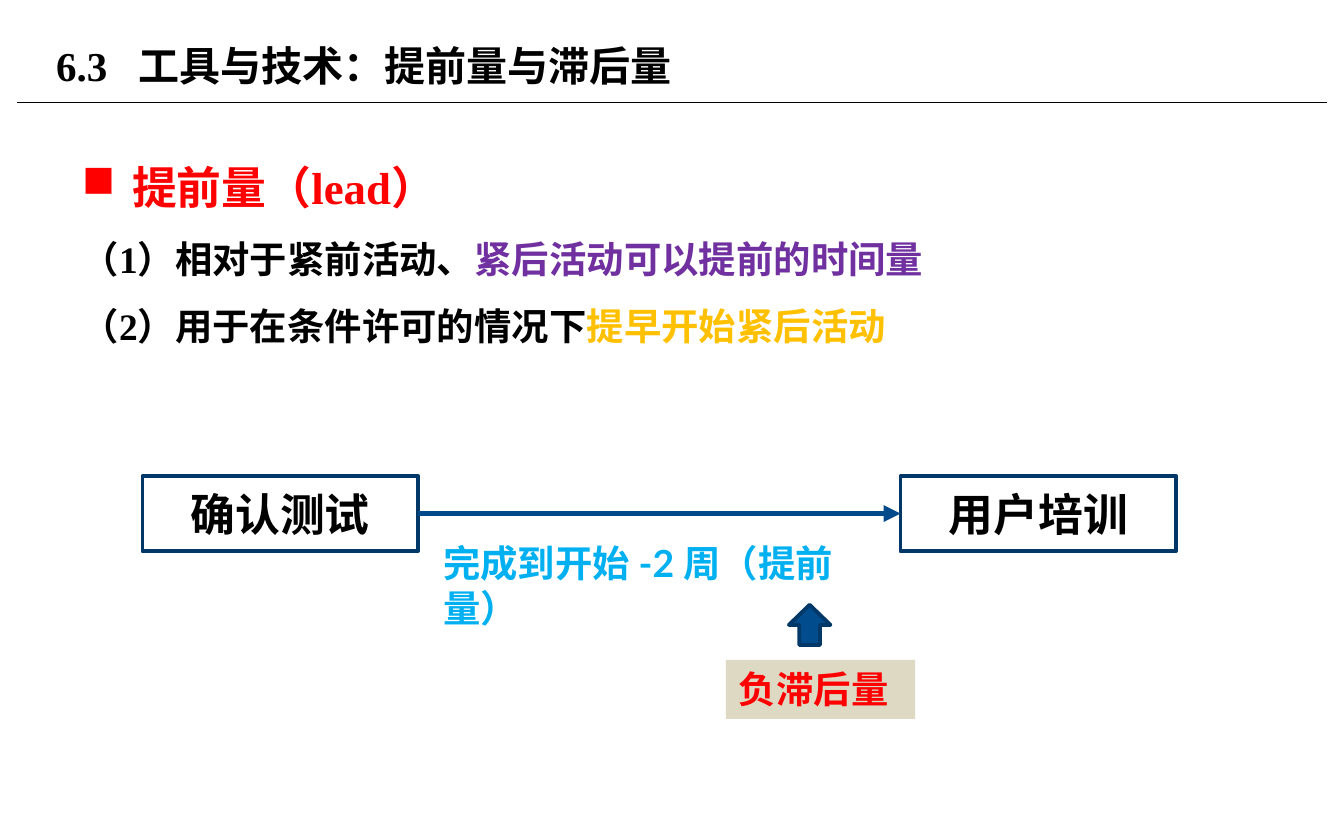
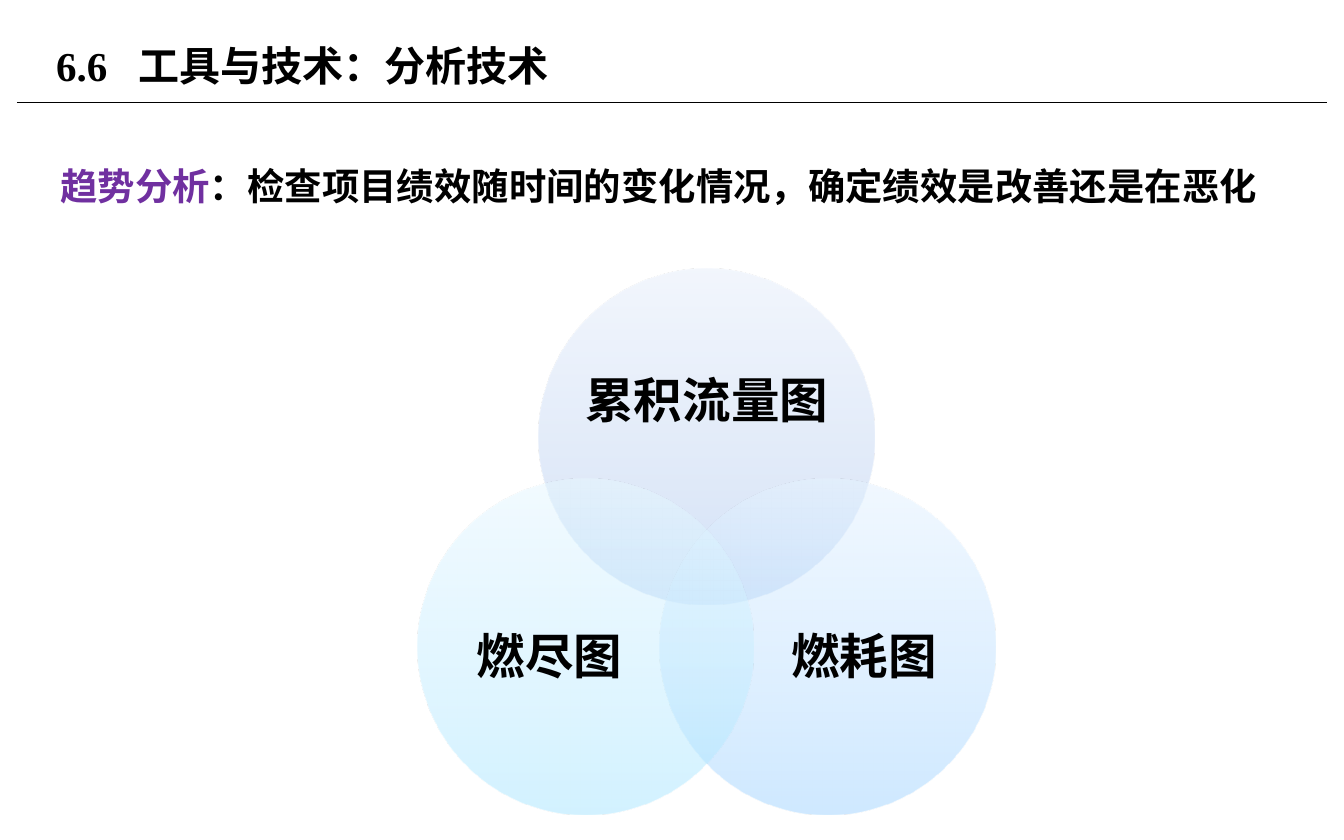
"""Build two slides on leads, lags and trend analysis."""
import lxml.etree
import pptx
import pptx.dml.color
import pptx.enum.shapes
import pptx.enum.text
import pptx.oxml
import pptx.oxml.ns
import pptx.util

Pt = pptx.util.Pt
Shape = pptx.enum.shapes.MSO_SHAPE
Align = pptx.enum.text.PP_ALIGN
Anchor = pptx.enum.text.MSO_ANCHOR

BLACK, WHITE, RED = "000000", "FFFFFF", "FF0000"
PURPLE, GOLD, SKY = "7030A0", "FFC000", "00B0F0"
NAVY, BLUE, EDGE, SAND = "004A8B", "014C8D", "013868", "DDD9C3"
SERIF, SANS = "Times New Roman", "Lato"


def color(code):
    return pptx.dml.color.RGBColor.from_string(code)


def add(parent, tag, **attrs):
    node = lxml.etree.SubElement(parent, pptx.oxml.ns.qn(tag))
    for key, value in attrs.items():
        node.set(key, str(value))
    return node


def place(box):
    return [Pt(value) for value in box]


def write(para, parts, size, face=SERIF, align=None, space=None):
    para.alignment = align
    para.line_spacing = space
    font = para.font
    font.size, font.name, font.bold = Pt(size), face, True
    font.color.rgb = color(parts[0][1])
    for text, code in parts:
        run = para.add_run()
        run.text = text
        if len(parts) > 1:
            run.font.color.rgb = color(code)


def note(slide, box, anchor=Anchor.TOP, inset=None):
    frame = slide.shapes.add_textbox(*place(box)).text_frame
    frame.word_wrap = True
    frame.vertical_anchor = anchor
    if inset is not None:
        frame.margin_left = frame.margin_right = Pt(inset)
        frame.margin_top = frame.margin_bottom = Pt(inset)
    return frame


def block(slide, kind, box, fill=None, edge=None):
    shape = slide.shapes.add_shape(kind, *place(box))
    shape.shadow.inherit = False
    if fill:
        shape.fill.solid()
        shape.fill.fore_color.rgb = color(fill)
    if edge:
        shape.line.color.rgb = color(edge)
        shape.line.width = Pt(2)
    else:
        shape.line.fill.background()
    return shape


def rule(slide, start, end, code, width, arrow=False):
    line = slide.shapes.add_connector(
        pptx.enum.shapes.MSO_CONNECTOR.STRAIGHT, *place(start + end))
    line.line.color.rgb = color(code)
    line.line.width = Pt(width)
    if arrow:
        add(line.line._get_or_add_ln(), "a:tailEnd", type="triangle")
    add(line._element.spPr, "a:effectLst")


def head(slide, box, number, title):
    left, top, width, height = box
    rule(slide, (left, top + height), (left + width, top + height), BLACK, 0.75)
    frame = note(slide, (left + 14, top, 459, 51), Anchor.MIDDLE)
    para = frame.paragraphs[0]
    tabs = add(para._p.get_or_add_pPr(), "a:tabLst")
    add(tabs, "a:tab", pos=Pt(44), algn="l")
    write(para, [(f"{number}\t{title}", BLACK)], 22)


def points(slide, box, term, lines):
    frame = note(slide, box)
    para = frame.paragraphs[0]
    props = para._p.get_or_add_pPr()
    props.set("marL", str(Pt(27)))
    props.set("indent", str(-Pt(27)))
    add(props, "a:buChar", char="■")
    write(para, [(term, RED)], 24, space=1.5)
    for parts in lines:
        write(frame.add_paragraph(), parts, 20, space=1.5)


def flow(slide, box, names, link, tag):
    left, top, width, height = box
    wide, tall = 147.6, 40.3
    ends = (left, left + width - wide)
    for side, name in zip(ends, names):
        step = block(slide, Shape.RECTANGLE, (side, top, wide, tall), WHITE, EDGE)
        step.text_frame.vertical_anchor = Anchor.MIDDLE
        write(step.text_frame.paragraphs[0], [(name, BLACK)], 24, SANS, Align.CENTER)
    mid = top + tall / 2
    rule(slide, (left + wide, mid), (ends[1], mid), NAVY, 3, arrow=True)
    label = note(slide, (left + 154, top + 31, 245, 31.7))
    write(label.paragraphs[0], [(link, SKY)], 20, SANS)
    block(slide, Shape.UP_ARROW, (left + 346.3, top + 69, 22.3, 21.6), BLUE, EDGE)
    low = top + height - 31.7
    plate = block(slide, Shape.RECTANGLE, (left + 312.5, low, 101.5, 31.7), SAND)
    plate.text_frame.vertical_anchor = Anchor.TOP
    write(plate.text_frame.paragraphs[0], [(tag, RED)], 20, align=Align.LEFT)


def shade(shape, codes):
    fill = pptx.oxml.parse_xml(
        f'<a:gradFill {pptx.oxml.ns.nsdecls("a")} rotWithShape="1"/>')
    stops = add(fill, "a:gsLst")
    for pos, code in zip((0, 35, 100), codes):
        stop = add(stops, "a:gs", pos=pos * 1000)
        add(add(stop, "a:srgbClr", val=code), "a:alpha", val=50000)
    add(fill, "a:lin", ang=270 * 60000, scaled=1)
    shape._element.spPr.find(pptx.oxml.ns.qn("a:prstGeom")).addnext(fill)


def venn(slide, box, rings):
    left, top, width, height = box
    size = 180
    spots = (((width - size) / 2, 0), (width - size, height - size),
             (0, height - size))
    areas = ((23.8, 31, 132.5, 81.4), (55.5, 46.8, 108, 99.4),
             (16.5, 46.8, 108, 99.4))
    for (dx, dy), area, (name, codes) in zip(spots, areas, rings):
        x, y = left + dx, top + dy
        shade(block(slide, Shape.OVAL, (x, y, size, size)), codes)
        frame = note(slide, (x + area[0], y + area[1]) + area[2:], Anchor.MIDDLE, 0)
        write(frame.paragraphs[0], [(name, BLACK)], 26, align=Align.CENTER, space=0.9)


def main():
    deck = pptx.Presentation()
    deck.slide_width, deck.slide_height = Pt(720), Pt(450)
    blank = deck.slide_layouts[6]
    band = (9, 9.4, 702, 45.6)

    lead = deck.slides.add_slide(blank)
    head(lead, band, "6.3", "工具与技术：提前量与滞后量")
    points(lead, (36.7, 67.7, 646.6, 280.8), "提前量（lead）", [
        [("（1）相对于紧前活动、", BLACK), ("紧后活动可以提前的时间量", PURPLE)],
        [("（2）用于在条件许可的情况下", BLACK), ("提早开始紧后活动", GOLD)],
    ])
    flow(lead, (76.3, 255, 553.7, 130.2), ("确认测试", "用户培训"),
         "完成到开始 -2 周（提前量）", "负滞后量")

    trend = deck.slides.add_slide(blank)
    head(trend, band, "6.6", "工具与技术：分析技术")
    frame = note(trend, (25.2, 72, 669, 280.8))
    write(frame.paragraphs[0], [
        ("趋势分析", PURPLE),
        ("：检查项目绩效随时间的变化情况，确定绩效是改善还是在恶化", BLACK),
    ], 20, space=1.5)
    venn(trend, (223.9, 144, 309.6, 292.3), [
        ("累积流量图", ("A6C4F1", "C1D5F4", "E7EFFC")),
        ("燃耗图", ("A0D4FF", "BCE0FF", "E5F3FF")),
        ("燃尽图", ("A7E6FF", "C1EDFF", "E7F8FF")),
    ])
    deck.save("out.pptx")


if __name__ == "__main__":
    main()
